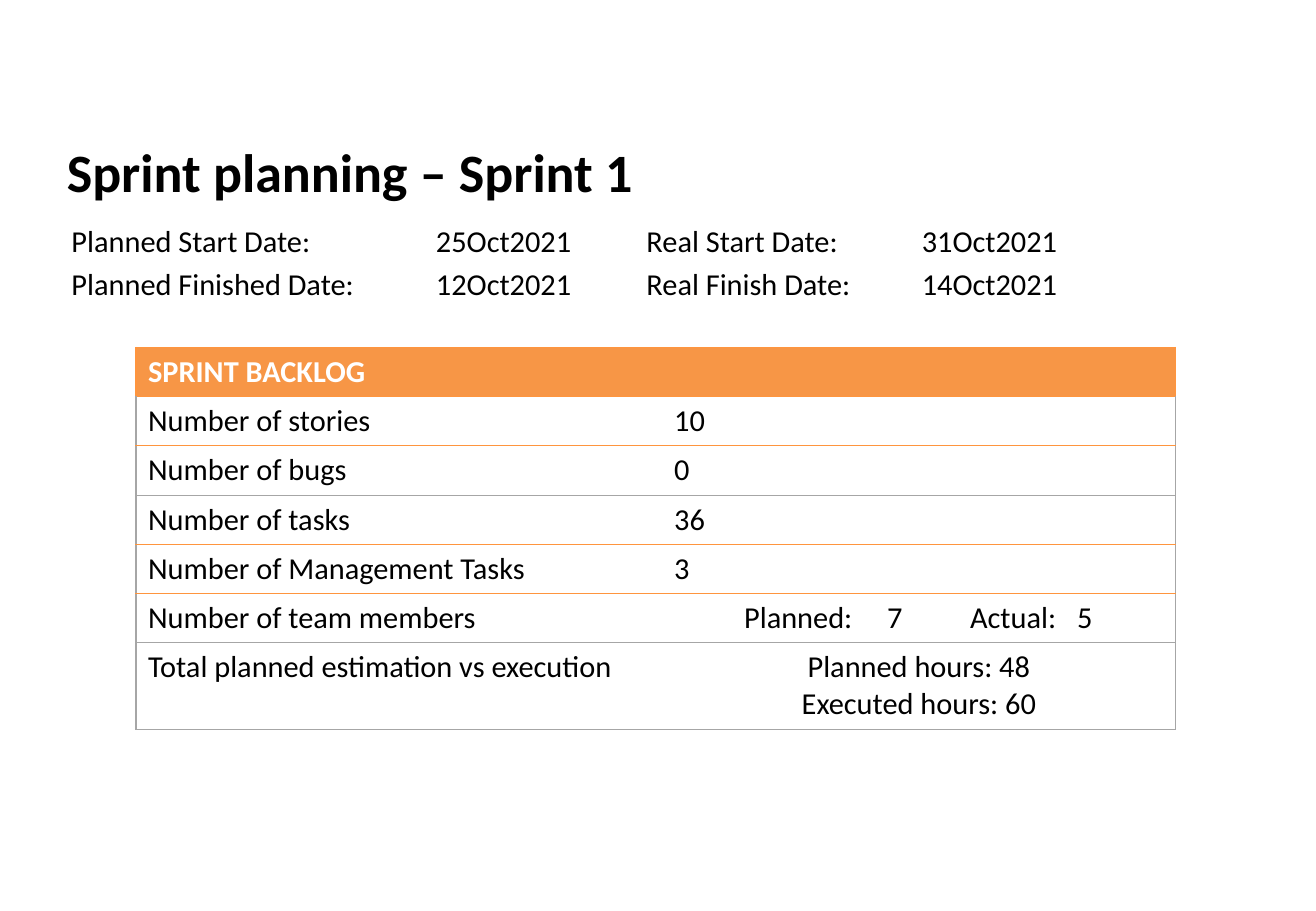
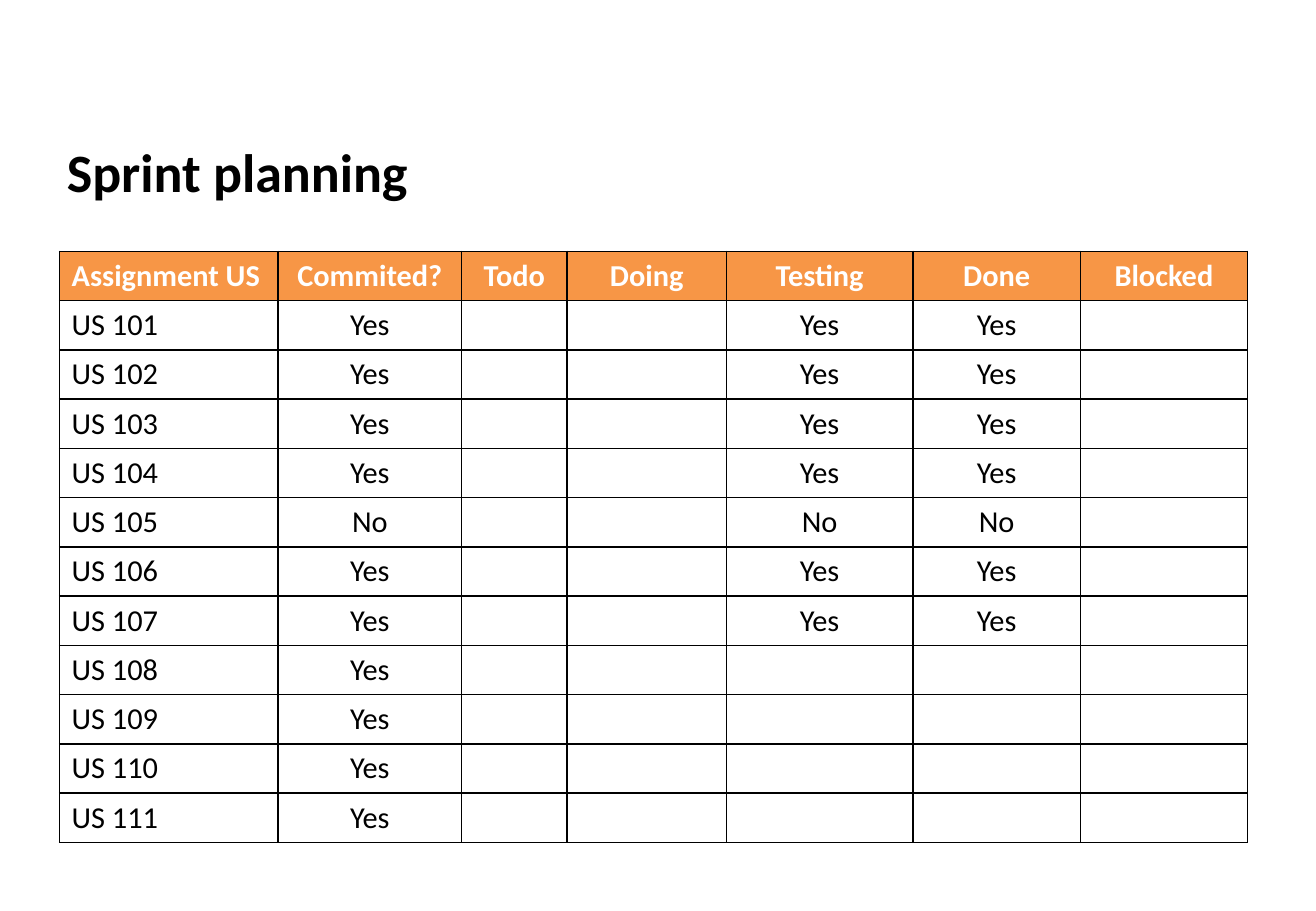
from dataclasses import dataclass
from typing import Optional

from lxml import etree
from pptx import Presentation
from pptx.dml.color import RGBColor
from pptx.enum import text
from pptx.oxml import ns
from pptx.util import Pt

BLACK = RGBColor(0x00, 0x00, 0x00)
WHITE = RGBColor(0xFF, 0xFF, 0xFF)
ORANGE = RGBColor(0xF7, 0x96, 0x46)
LINE_ORANGE = RGBColor(0xFF, 0x95, 0x3E)
GRAY = RGBColor(0xA6, 0xA6, 0xA6)

FONT = "Calibri"
BODY_SIZE = 18
TITLE_SIZE = 32
ROW_HEIGHT = 29.2
PLAIN_TABLE_STYLE = "{2D5ABB26-0587-4C30-8999-92F81FD0307C}"

LEFT = text.PP_ALIGN.LEFT
CENTER = text.PP_ALIGN.CENTER

DATES = (
    ("Planned Start Date:", "25Oct2021", "Real Start Date:", "31Oct2021"),
    ("Planned Finished Date:", "12Oct2021", "Real Finish Date:", "14Oct2021"),
)
DATE_TABS = (216, 340.8, 504)
MEMBER_TABS = (41.5, 126.2, 175.4, 238.8)

BACKLOG = (
    ("SPRINT BACKLOG", ""),
    ("Number of stories", "10"),
    ("Number of bugs", "0"),
    ("Number of tasks", "36"),
    ("Number of Management Tasks", "3"),
    ("Number of team members", "\tPlanned:\t7\tActual:\t5"),
    ("Total planned estimation vs execution", "Planned hours: 48\nExecuted hours: 60"),
)
BACKLOG_RULES = (LINE_ORANGE, LINE_ORANGE, LINE_ORANGE, GRAY, LINE_ORANGE, LINE_ORANGE, GRAY, GRAY)

STATUS_HEADER = ("Assignment US", "Commited?", "Todo", "Doing", "Testing", "Done", "Blocked")
FINISHED = {story: "No" if story == 105 else "Yes" for story in range(101, 108)}


@dataclass(frozen=True)
class TableLayout:
    left: float
    top: float
    columns: tuple[float, ...]
    last_row: float = ROW_HEIGHT


@dataclass(frozen=True)
class Border:
    side: str
    color: Optional[RGBColor]
    width: float


def format_paragraph(paragraph, size: float, color: RGBColor, bold: bool = False, align=LEFT) -> None:
    paragraph.alignment = align
    for run in paragraph.runs:
        run.font.name = FONT
        run.font.size = Pt(size)
        run.font.bold = bold
        run.font.color.rgb = color


def add_tabs(paragraph, positions: tuple[float, ...]) -> None:
    properties = paragraph._p.get_or_add_pPr()
    tabs = etree.SubElement(properties, ns.qn("a:tabLst"))
    for position in positions:
        etree.SubElement(tabs, ns.qn("a:tab"), pos=str(int(Pt(position))), algn="l")


def set_borders(cell, borders: list[Border]) -> None:
    properties = cell._tc.get_or_add_tcPr()
    for index, border in enumerate(borders):
        line = etree.Element(ns.qn(f"a:ln{border.side}"), w=str(int(Pt(border.width))))
        if border.color is None:
            etree.SubElement(line, ns.qn("a:noFill"))
        else:
            fill = etree.SubElement(line, ns.qn("a:solidFill"))
            etree.SubElement(fill, ns.qn("a:srgbClr"), val=str(border.color))
        properties.insert(index, line)


def add_titled_slide(presentation, title: str, width: float):
    slide = presentation.slides.add_slide(presentation.slide_layouts[5])
    for placeholder in list(slide.placeholders):
        if placeholder != slide.shapes.title:
            placeholder.element.getparent().remove(placeholder.element)
    shape = slide.shapes.title
    shape.left, shape.top, shape.width, shape.height = Pt(32.4), Pt(78.5), Pt(width), Pt(45.4)
    frame = shape.text_frame
    frame.text = title
    frame.word_wrap = True
    frame.auto_size = text.MSO_AUTO_SIZE.NONE
    frame.vertical_anchor = text.MSO_ANCHOR.MIDDLE
    format_paragraph(frame.paragraphs[0], TITLE_SIZE, BLACK, bold=True)
    return slide


def add_dates(slide) -> None:
    box = slide.shapes.add_textbox(Pt(35.3), Pt(128.2), Pt(712.1), Pt(56.2))
    frame = box.text_frame
    frame.word_wrap = True
    frame.text = "\n".join("\t".join(row) for row in DATES)
    for paragraph in frame.paragraphs:
        format_paragraph(paragraph, BODY_SIZE, BLACK)
        paragraph.space_after = Pt(4)
        add_tabs(paragraph, DATE_TABS)


def add_filled_table(slide, layout: TableLayout, rows):
    heights = [ROW_HEIGHT] * (len(rows) - 1) + [layout.last_row]
    frame = slide.shapes.add_table(
        len(rows), len(layout.columns), Pt(layout.left), Pt(layout.top),
        Pt(sum(layout.columns)), Pt(sum(heights)),
    )
    for style in frame.element.iter(ns.qn("a:tableStyleId")):
        style.text = PLAIN_TABLE_STYLE
    table = frame.table
    table.horz_banding = False
    for column, width in zip(table.columns, layout.columns):
        column.width = Pt(width)
    for row, height in zip(table.rows, heights):
        row.height = Pt(height)
    for row_index, values in enumerate(rows):
        is_header = row_index == 0
        for column_index, value in enumerate(values):
            cell = table.cell(row_index, column_index)
            cell.text_frame.text = value
            cell.fill.solid()
            cell.fill.fore_color.rgb = ORANGE if is_header else WHITE
            for paragraph in cell.text_frame.paragraphs:
                format_paragraph(
                    paragraph, BODY_SIZE, WHITE if is_header else BLACK,
                    bold=is_header, align=CENTER if column_index else LEFT,
                )
    return table


def add_backlog(slide) -> None:
    layout = TableLayout(80.6, 205.9, (311.8, 304.6), last_row=51)
    table = add_filled_table(slide, layout, BACKLOG)
    for row_index in range(len(BACKLOG)):
        side_color = GRAY if row_index else LINE_ORANGE
        for column_index in range(2):
            set_borders(table.cell(row_index, column_index), [
                Border("L", None if column_index else side_color, 0.75),
                Border("R", side_color if column_index else None, 0.75),
                Border("T", BACKLOG_RULES[row_index], 0.75),
                Border("B", BACKLOG_RULES[row_index + 1], 0.75),
            ])
    for row_index in range(1, 6):
        table.cell(row_index, 1).text_frame.paragraphs[0].alignment = LEFT
    add_tabs(table.cell(5, 1).text_frame.paragraphs[0], MEMBER_TABS)


def add_status(slide) -> None:
    rows = [STATUS_HEADER]
    for story in range(101, 112):
        result = FINISHED.get(story, "")
        rows.append((f"US {story}", result or "Yes", "", "", result, result, ""))
    layout = TableLayout(35.3, 149, (129.6, 108.7, 62.6, 94.3, 110.7, 99.2, 99.2))
    table = add_filled_table(slide, layout, rows)
    for row in table.rows:
        for cell in row.cells:
            set_borders(cell, [Border(side, BLACK, 1) for side in "LRTB"])


def main() -> None:
    presentation = Presentation()
    presentation.slide_width = Pt(780)
    presentation.slide_height = Pt(540)
    planning = add_titled_slide(presentation, "Sprint planning – Sprint 1", 712.1)
    add_backlog(planning)
    add_dates(planning)
    add_status(add_titled_slide(presentation, "Sprint planning", 725.8))
    presentation.save("out.pptx")


if __name__ == "__main__":
    main()
